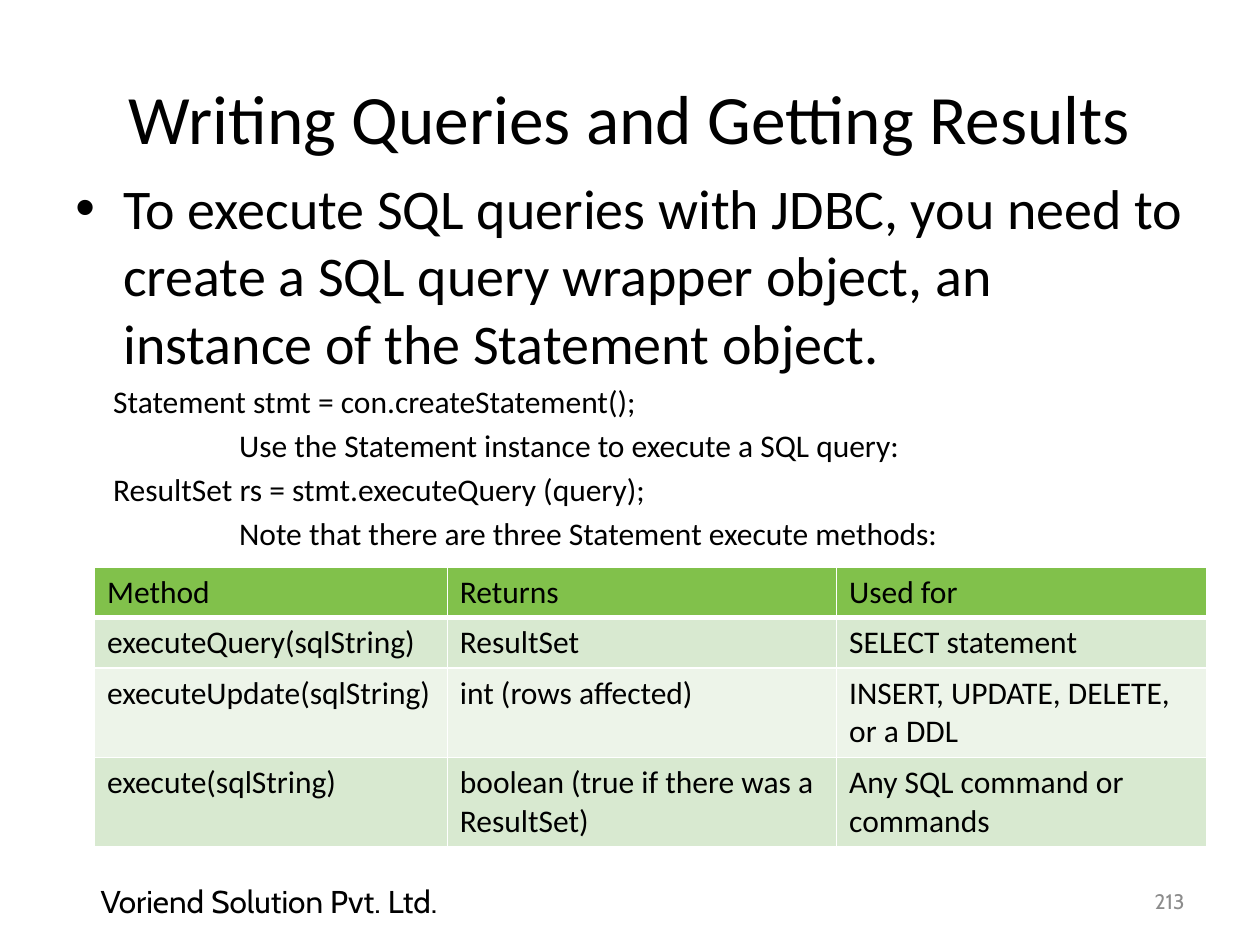
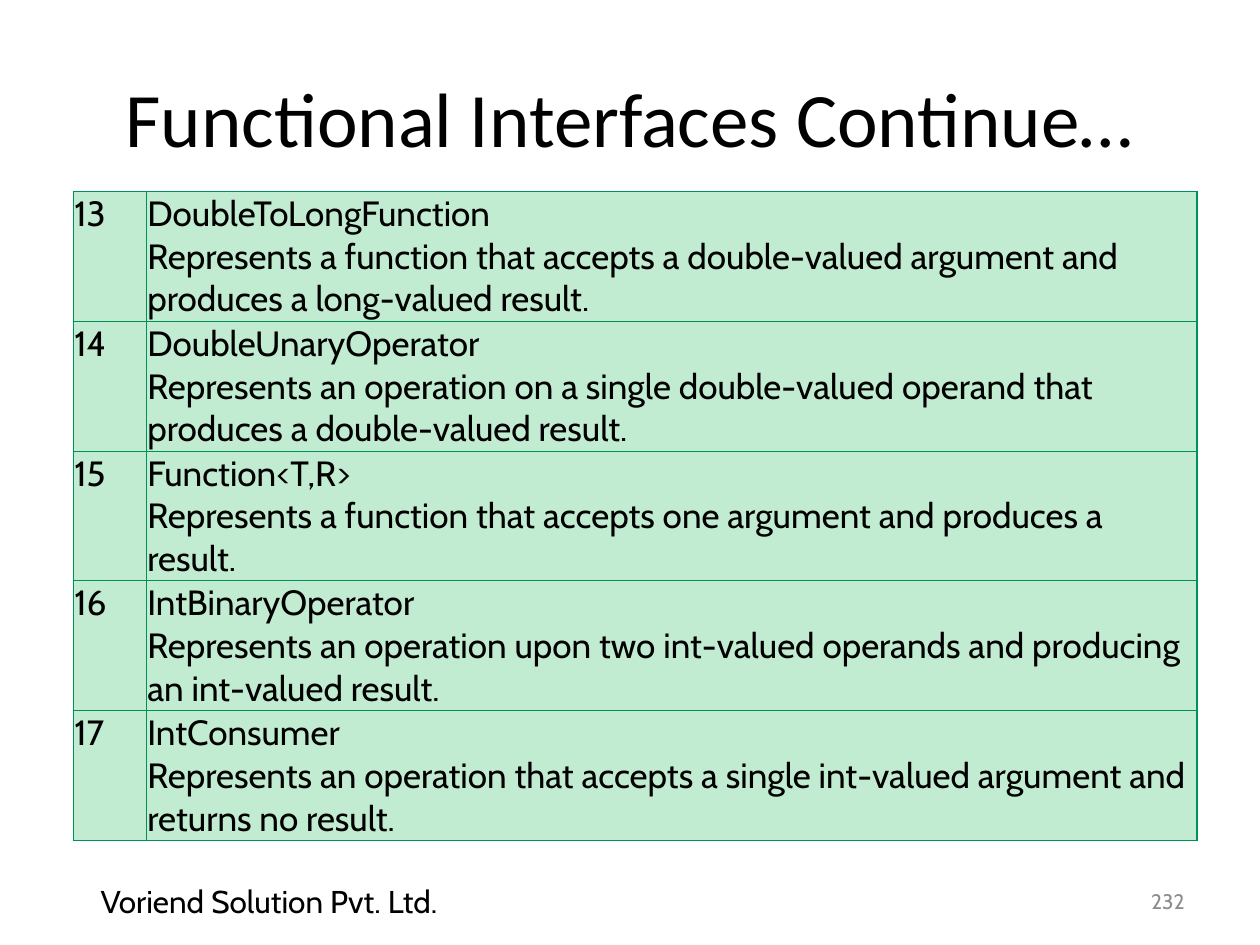
from lxml.etree import SubElement
from pptx import Presentation
from pptx.dml.color import RGBColor
from pptx.enum.text import MSO_ANCHOR, PP_ALIGN
from pptx.oxml.ns import qn
from pptx.util import Inches, Pt

BLACK, GRAY, WHITE = "000000", "8C8C8C", "FFFFFF"
HEADER_GREEN, BAND_GREEN, PALE_GREEN = "81C14B", "D8E9D0", "EDF4E9"
MINT, MINT_EDGE = "C2ECD2", "009158"

STYLES = {
    "title": {"name": "Calibri", "size": Pt(44)},
    "long title": {"name": "Calibri", "size": Pt(39.6)},
    "lead": {"name": "Calibri", "size": Pt(32)},
    "detail": {"name": "Calibri", "size": Pt(18)},
    "footer": {"name": "Cabin", "size": Pt(18)},
    "number": {"name": "Cabin", "size": Pt(12)},
    "entry": {"name": "Cabin", "size": Pt(20)},
}


def rgb(value):
    return RGBColor.from_string(value)


def set_values(target, values):
    for attribute, value in values.items():
        setattr(target, attribute, value)


class Deck:
    def __init__(self):
        self.presentation = Presentation()
        set_values(self.presentation,
                   {"slide_width": Inches(10), "slide_height": Inches(7.5)})
        self.slide = None

    def add_slide(self, title, number, title_style="title"):
        self.slide = self.presentation.slides.add_slide(self.presentation.slide_layouts[6])
        self.label(title, (0.5, 0.3, 9, 1.25), title_style, PP_ALIGN.CENTER)
        self.label("Voriend Solution Pvt. Ltd.", (0.7, 6.95, 3.8, 0.4), "footer")
        self.label(number, (8.83, 6.95, 0.67, 0.4), "number", PP_ALIGN.RIGHT, GRAY)

    def frame(self, place, anchor):
        frame = self.slide.shapes.add_textbox(*map(Inches, place)).text_frame
        set_values(frame, {"word_wrap": True, "vertical_anchor": anchor})
        return frame

    def fill_text(self, paragraph, text, style, color=BLACK):
        paragraph.text = text
        for run in paragraph.runs:
            set_values(run.font, STYLES[style])
            run.font.color.rgb = rgb(color)

    def label(self, text, place, style, alignment=PP_ALIGN.LEFT, color=BLACK):
        paragraph = self.frame(place, MSO_ANCHOR.MIDDLE).paragraphs[0]
        paragraph.alignment = alignment
        self.fill_text(paragraph, text, style, color)

    def body(self, place, lead, details):
        frame = self.frame(place, MSO_ANCHOR.TOP)
        bulleted = frame.paragraphs[0]
        self.fill_text(bulleted, lead, "lead")
        bulleted.space_before = Pt(6.4)
        self.indent(bulleted, 0.38, -0.38, "•")
        for text, margin in details:
            paragraph = frame.add_paragraph()
            self.fill_text(paragraph, text, "detail")
            paragraph.space_before = Pt(3.6)
            self.indent(paragraph, margin)

    def indent(self, paragraph, margin, hanging=0, bullet=None):
        properties = paragraph._p.get_or_add_pPr()
        properties.set("marL", str(Inches(margin)))
        properties.set("indent", str(Inches(hanging)))
        if bullet:
            SubElement(properties, qn("a:buFont"), typeface="Arial")
            SubElement(properties, qn("a:buChar"), char=bullet)

    def table(self, corner, widths, heights, rows, fills, style, edge, weight,
              inset=None, header_weight=None):
        size = sum(widths), sum(heights)
        table = self.slide.shapes.add_table(
            len(rows), len(widths), *map(Inches, corner + size)).table
        set_values(table, {"first_row": False, "horz_banding": False})
        for column, width in zip(table.columns, widths):
            column.width = Inches(width)
        for row_index, (row, height, texts, fill) in enumerate(
                zip(table.rows, heights, rows, fills)):
            row.height = Inches(height)
            weights = dict.fromkeys("LRTB", weight)
            if header_weight and row_index < 2:
                weights["T" if row_index else "B"] = header_weight
            for cell, text in zip(row.cells, texts):
                if inset is not None:
                    sides = ("left", "right", "top", "bottom")
                    set_values(cell, {f"margin_{side}": Inches(inset) for side in sides})
                self.fill_text(cell.text_frame.paragraphs[0], text, style)
                self.borders(cell, edge, weights)
                cell.fill.solid()
                cell.fill.fore_color.rgb = rgb(fill)

    def borders(self, cell, color, weights):
        properties = cell._tc.get_or_add_tcPr()
        for side, weight in weights.items():
            line = SubElement(properties, qn(f"a:ln{side}"), w=str(Pt(weight)))
            SubElement(SubElement(line, qn("a:solidFill")), qn("a:srgbClr"), val=color)


def add_queries(deck):
    deck.add_slide("Writing Queries and Getting Results", "213", "long title")
    deck.body(
        (0.5, 1.33, 9, 3),
        "To execute SQL queries with JDBC, you need to create a SQL query wrapper "
        "object, an instance of the Statement object.",
        [("Statement stmt = con.createStatement();", 0.3),
         ("Use the Statement instance to execute a SQL query:", 1.3),
         ("ResultSet rs = stmt.executeQuery (query);", 0.3),
         ("Note that there are three Statement execute methods:", 1.3)])
    methods = [
        ("Method", "Returns", "Used for"),
        ("executeQuery(sqlString)", "ResultSet", "SELECT statement"),
        ("executeUpdate(sqlString)", "int (rows affected)",
         "INSERT, UPDATE, DELETE, or a DDL"),
        ("execute(sqlString)", "boolean (true if there was a ResultSet)",
         "Any SQL command or commands"),
    ]
    deck.table((0.75, 4.5), (2.8, 3.09, 2.94), (0.4, 0.4, 0.71, 0.71), methods,
               (HEADER_GREEN, BAND_GREEN, PALE_GREEN, BAND_GREEN),
               "detail", WHITE, 1, header_weight=3)


def add_interfaces(deck):
    deck.add_slide("Functional Interfaces Continue…", "232")
    interfaces = [
        ("DoubleToLongFunction", "Represents a function that accepts a double-valued "
         "argument and produces a long-valued result."),
        ("DoubleUnaryOperator", "Represents an operation on a single double-valued "
         "operand that produces a double-valued result."),
        ("Function<T,R>", "Represents a function that accepts one argument and "
         "produces a result."),
        ("IntBinaryOperator", "Represents an operation upon two int-valued operands "
         "and producing an int-valued result."),
        ("IntConsumer", "Represents an operation that accepts a single int-valued "
         "argument and returns no result."),
    ]
    rows = [(str(number), "\v".join(interface))
            for number, interface in enumerate(interfaces, 13)]
    deck.table((0.58, 1.52), (0.58, 8.34), (1.03,) * len(rows), rows,
               (MINT,) * len(rows), "entry", MINT_EDGE, 0.75, inset=0.01)


def main():
    deck = Deck()
    add_queries(deck)
    add_interfaces(deck)
    deck.presentation.save("out.pptx")


if __name__ == "__main__":
    main()
